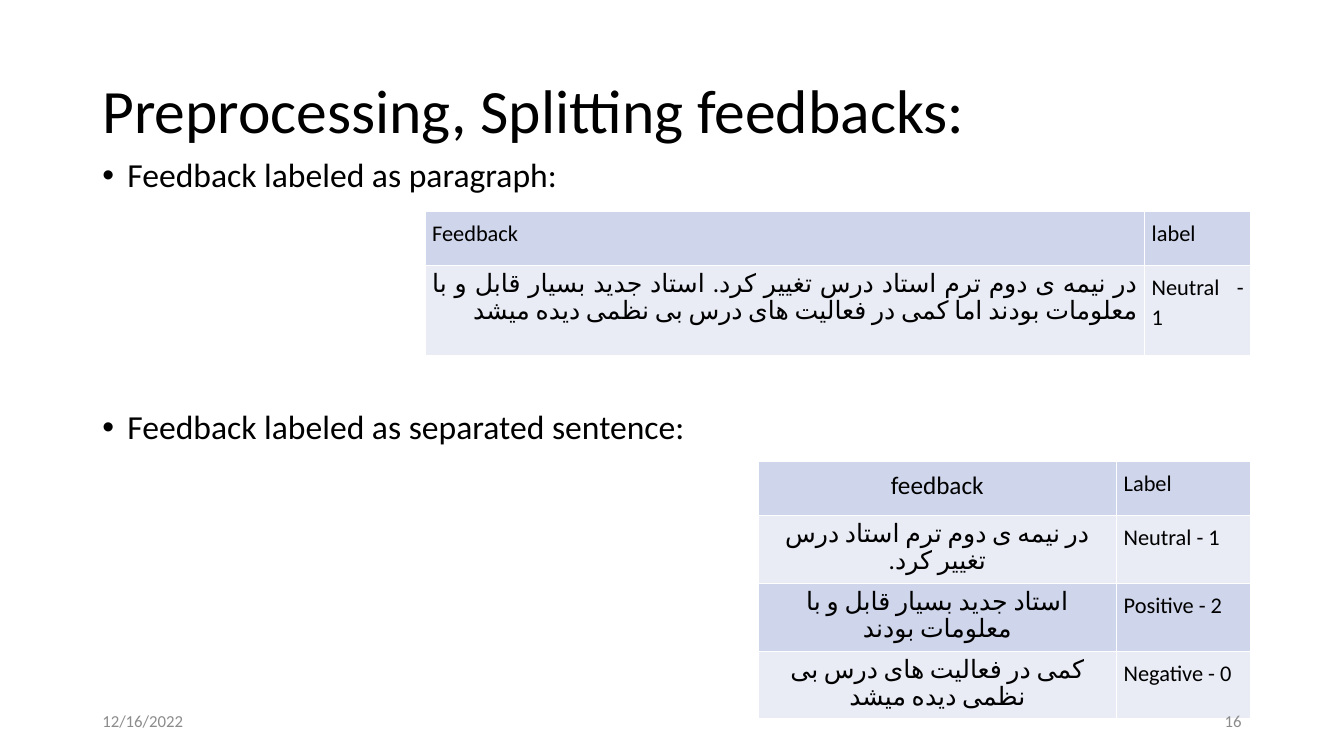
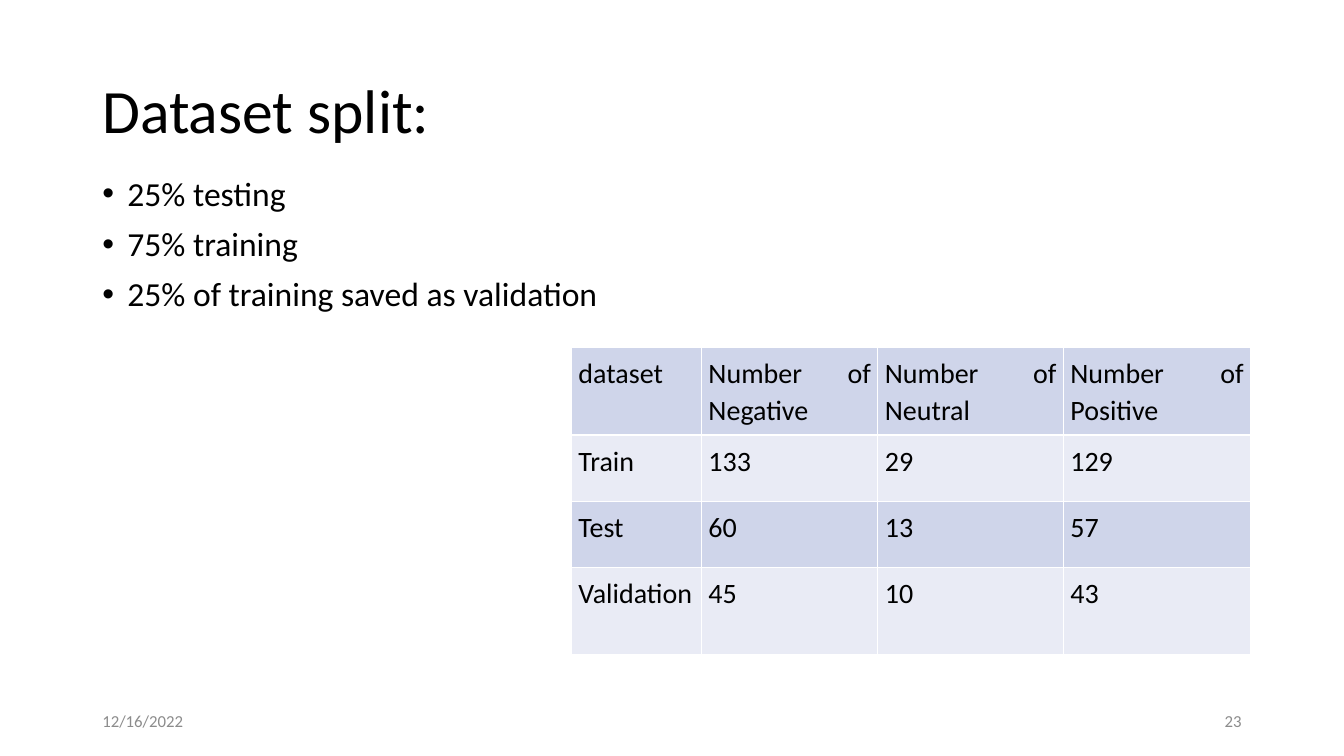
import pptx
import pptx.dml.color
import pptx.enum.text
import pptx.oxml
import pptx.oxml.ns
import pptx.util
import lxml.etree

Pt = pptx.util.Pt
ALIGN = pptx.enum.text.PP_ALIGN
ANCHOR = pptx.enum.text.MSO_ANCHOR

COLORS = {"text": "000000", "footer": "8C8C8C", "border": "FFFFFF",
          "dark_band": "CFD5EA", "light_band": "E9EBF5"}
FONT = "Calibri"
LEFT, WIDTH = 66, 828
RIGHT = LEFT + WIDTH
TABLE_RIGHT = 893.5
CELL_MARGIN = 5
DATE = "12/16/2022"

SLIDES = [
    {
        "title": "Preprocessing, Splitting feedbacks:",
        "number": "16",
        "body_top": 110,
        "bullets": [("Feedback labeled as paragraph:", 10),
                    ("Feedback labeled as separated sentence:", 154)],
        "tables": [
            {
                "top": 151.2, "columns": [514, 75.8], "rows": [38.5, 64.5],
                "header_size": 16, "first_size": 18, "size": 16,
                "first_alignment": ALIGN.JUSTIFY,
                "cells": [
                    ["Feedback", "label"],
                    ["در نیمه ی دوم ترم استاد درس تغییر کرد. استاد جدید بسیار قابل و با "
                     "معلومات بودند اما کمی در فعالیت های درس بی نظمی دیده میشد",
                     "Neutral - 1"],
                ],
            },
            {
                "top": 329.8, "columns": [256.3, 95.8], "rows": [38.5] + [48.4] * 3,
                "header_size": 18, "first_size": 18, "size": 16,
                "first_alignment": ALIGN.CENTER,
                "cells": [
                    ["feedback", "Label"],
                    ["در نیمه ی دوم ترم استاد درس تغییر کرد.", "Neutral - 1"],
                    ["استاد جدید بسیار قابل و با معلومات بودند", "Positive - 2"],
                    ["کمی در فعالیت های درس بی نظمی دیده میشد", "Negative - 0"],
                ],
            },
        ],
    },
    {
        "title": "Dataset split:",
        "number": "23",
        "body_top": 123,
        "bullets": [("25% testing", 10), ("75% training", 10),
                    ("25% of training saved as validation", 10)],
        "tables": [
            {
                "top": 248.4, "columns": [92.9, 126, 132.5, 133.9],
                "rows": [62.3, 47.3, 47.3, 62.3],
                "header_size": 20, "first_size": 20, "size": 20,
                "first_alignment": ALIGN.JUSTIFY,
                "cells": [
                    ["dataset", "Number of Negative", "Number of Neutral", "Number of Positive"],
                    ["Train", "133", "29", "129"],
                    ["Test", "60", "13", "57"],
                    ["Validation", "45", "10", "43"],
                ],
            },
        ],
    },
]


def style_paragraph(paragraph, text, size, color="text", alignment=ALIGN.LEFT, spacing=1.0):
    paragraph.text = text
    paragraph.alignment = alignment
    paragraph.line_spacing = spacing
    paragraph.font.name = FONT
    paragraph.font.size = Pt(size)
    paragraph.font.color.rgb = pptx.dml.color.RGBColor.from_string(COLORS[color])


def add_text_frame(slide, left, top, width, height, anchor):
    shape = slide.shapes.add_textbox(Pt(left), Pt(top), Pt(width), Pt(height))
    frame = shape.text_frame
    frame.word_wrap = True
    frame.vertical_anchor = anchor
    return frame


presentation = pptx.Presentation()
presentation.slide_width = Pt(960)
presentation.slide_height = Pt(540)

for content in SLIDES:
    slide = presentation.slides.add_slide(presentation.slide_layouts[6])

    title = add_text_frame(slide, LEFT, 28.8, WIDTH, 104.4, ANCHOR.MIDDLE)
    style_paragraph(title.paragraphs[0], content["title"], 44, spacing=0.9)

    body = add_text_frame(slide, LEFT, content["body_top"], WIDTH, 342.7, ANCHOR.TOP)
    for index, (text, space_before) in enumerate(content["bullets"]):
        paragraph = body.add_paragraph() if index else body.paragraphs[0]
        properties = paragraph._p.get_or_add_pPr()
        properties.set("marL", str(Pt(18)))
        properties.set("indent", str(Pt(-18)))
        bullet_font = lxml.etree.SubElement(properties, pptx.oxml.ns.qn("a:buFont"))
        bullet_font.set("typeface", "Arial")
        bullet = lxml.etree.SubElement(properties, pptx.oxml.ns.qn("a:buChar"))
        bullet.set("char", "•")
        style_paragraph(paragraph, text, 24, spacing=0.9)
        paragraph.space_before = Pt(space_before)

    for spec in content["tables"]:
        table_width = sum(spec["columns"])
        frame = slide.shapes.add_table(
            len(spec["rows"]), len(spec["columns"]), Pt(TABLE_RIGHT - table_width),
            Pt(spec["top"]), Pt(table_width), Pt(sum(spec["rows"])))
        table = frame.table
        for column, width in zip(table.columns, spec["columns"]):
            column.width = Pt(width)
        for row, height in zip(table.rows, spec["rows"]):
            row.height = Pt(height)

        for row_index, texts in enumerate(spec["cells"]):
            band = "light_band" if row_index % 2 else "dark_band"
            for column_index, text in enumerate(texts):
                cell = table.cell(row_index, column_index)
                cell.margin_left = cell.margin_right = Pt(CELL_MARGIN)
                cell.margin_top = cell.margin_bottom = Pt(CELL_MARGIN)
                cell_properties = cell._tc.get_or_add_tcPr()
                for side in ("lnL", "lnR", "lnT", "lnB"):
                    cell_properties.append(pptx.oxml.parse_xml(
                        f'<a:{side} {pptx.oxml.ns.nsdecls("a")} w="{Pt(1)}"><a:solidFill>'
                        f'<a:srgbClr val="{COLORS["border"]}"/></a:solidFill></a:{side}>'))
                cell.fill.solid()
                cell.fill.fore_color.rgb = pptx.dml.color.RGBColor.from_string(COLORS[band])

                size, alignment = spec["size"], ALIGN.JUSTIFY
                if column_index == 0:
                    size = spec["first_size"] if row_index else spec["header_size"]
                    alignment = spec["first_alignment"]
                paragraph = cell.text_frame.paragraphs[0]
                persian = not text.isascii()
                style_paragraph(paragraph, text, size, alignment=alignment,
                                spacing=Pt(19.2) if persian else 1.07)
                if persian:
                    properties = paragraph._p.get_or_add_pPr()
                    properties.set("rtl", "1")
                    run_defaults = properties.find(pptx.oxml.ns.qn("a:defRPr"))
                    run_defaults.set("lang", "fa-IR")
                    complex_font = lxml.etree.SubElement(run_defaults, pptx.oxml.ns.qn("a:cs"))
                    complex_font.set("typeface", FONT)

    for text, left, alignment in ((DATE, LEFT, ALIGN.LEFT),
                                  (content["number"], RIGHT - 216, ALIGN.RIGHT)):
        footer = add_text_frame(slide, left, 500.5, 216, 28.8, ANCHOR.MIDDLE)
        style_paragraph(footer.paragraphs[0], text, 12, "footer", alignment)

presentation.save("out.pptx")
